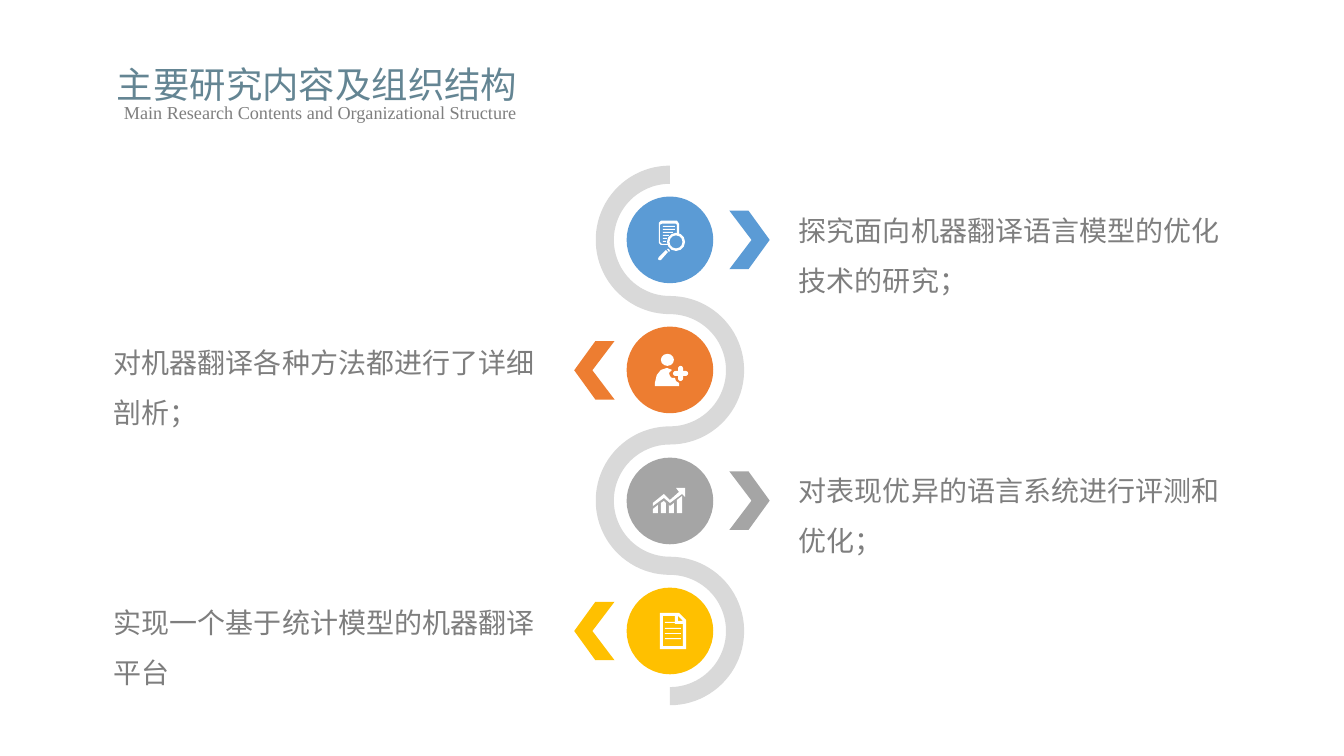
"""Build the slide on research contents: a winding path with four icon steps."""
import math
from dataclasses import dataclass
from typing import Any, Callable

from pptx import Presentation
from pptx import util as u
from pptx.dml.color import RGBColor
from pptx.enum import shapes, text

PX = 9144
FONT = "Times New Roman"
COLOURS = {
    "blue": "5B9BD5", "orange": "ED7D31", "grey": "A5A5A5", "gold": "FFC000",
    "path": "D9D9D9", "white": "FFFFFF", "body": "7E7E7E",
    "title": "648593", "subtitle": "7F7F7F",
}
SLIDE_W, SLIDE_H = 1334, 750
PATH_X, FIRST_Y, LAST_Y = 665, 238, 626
PATH_WIDTH, DISC = 18, 86
CHEVRON_X, CHEVRON_HALF = 724, 29
CHEVRON = [(0, 0), (22, 29), (0, 58), (19, 58), (40, 29), (19, 0)]

Point = tuple[float, float]


@dataclass(frozen=True)
class Step:
    """One stop on the winding path with its statement."""
    statement: str
    colour: str
    side: int
    left: int
    top: int
    icon: Callable[[Any], None]


def emu(px: float) -> int:
    """Turn px into EMU."""
    return round(px * PX)


def paint(shape: Any, colour: str) -> None:
    """Give a shape a flat fill without line or shadow."""
    shape.shadow.inherit = False
    shape.fill.solid()
    shape.fill.fore_color.rgb = RGBColor.from_string(COLOURS[colour])
    shape.line.fill.background()


def add_preset(parent: Any, kind: Any, box: tuple[int, int, int, int],
               colour: str = "white", adjust: float | None = None) -> None:
    """Draw a preset shape in a px box."""
    shape = parent.add_shape(kind, *map(emu, box))
    if adjust is not None:
        shape.adjustments[0] = adjust
    paint(shape, colour)


def add_outline(parent: Any, contours: list[list[Point]], colour: str = "white") -> None:
    """Draw closed contours as one freeform."""
    builder = None
    for contour in contours:
        start, *rest = [(emu(x), emu(y)) for x, y in contour]
        if builder is None:
            builder = parent.build_freeform(*start, scale=1.0)
        else:
            builder.move_to(*start)
        builder.add_line_segments(rest, close=True)
    paint(builder.convert_to_shape(), colour)


def add_lines(parent: Any, left: int, tops: list[int], widths: list[int]) -> None:
    """Draw the written lines of a page."""
    for top, width in zip(tops, widths):
        add_preset(parent, shapes.MSO_SHAPE.RECTANGLE, (left, top, width, 1))


def add_text(parent: Any, content: str, *, box: tuple[int, int, int, int], size: int,
             colour: str, wrap: bool = True,
             insets: tuple[int, int, int, int] = (0, 0, 0, 0)) -> None:
    """Add a one-paragraph text box."""
    frame = parent.add_textbox(*map(emu, box)).text_frame
    frame.word_wrap = wrap
    frame.auto_size = text.MSO_AUTO_SIZE.SHAPE_TO_FIT_TEXT
    frame.margin_left, frame.margin_top, frame.margin_right, frame.margin_bottom = map(emu, insets)
    paragraph = frame.paragraphs[0]
    paragraph.line_spacing = 1.5
    run = paragraph.add_run()
    run.text = content
    run.font.name = FONT
    run.font.size = u.Pt(size)
    run.font.color.rgb = RGBColor.from_string(COLOURS[colour])


def draw_search(icon: Any) -> None:
    """Draw a page under a magnifier."""
    add_outline(icon, [[
        (664, 242), (657, 242), (655, 240), (655, 223), (657, 222), (671, 222),
        (672, 223), (672, 232), (674, 232), (674, 222), (672, 219), (656, 219),
        (654, 221), (654, 241), (656, 243), (664, 243)]])
    add_lines(icon, 658, list(range(224, 240, 3)), [12, 12, 10, 6, 4, 3])
    add_preset(icon, shapes.MSO_SHAPE.DONUT, (662, 231, 18, 18), adjust=0.14)
    add_outline(icon, [
        [(662, 247), (664, 247), (665, 249), (664, 250)],
        [(661, 248), (663, 250), (656, 258), (654, 258), (653, 257), (654, 255)]])


def draw_person(icon: Any) -> None:
    """Draw a person with a plus sign."""
    add_preset(icon, shapes.MSO_SHAPE.OVAL, (656, 351, 13, 12))
    add_outline(icon, [[
        (674, 383), (650, 383), (650, 380), (652, 372), (656, 367), (662, 365),
        (667, 367), (664, 370), (665, 373), (667, 375), (670, 375), (671, 378),
        (674, 380)]])
    for bar in ((668, 368, 15, 5), (673, 363, 5, 15)):
        add_preset(icon, shapes.MSO_SHAPE.ROUNDED_RECTANGLE, bar, adjust=0.5)


def draw_growth(icon: Any) -> None:
    """Draw bars under a rising arrow."""
    add_outline(icon, [
        [(656, 499), (656, 509), (661, 509), (661, 499), (659, 497)],
        [(648, 509), (653, 509), (653, 501), (648, 505)],
        [(672, 496), (672, 509), (677, 509), (677, 492)],
        [(664, 501), (664, 509), (669, 509), (669, 499), (665, 502)]])
    add_outline(icon, [[
        (680, 484), (671, 484), (674, 488), (665, 496), (659, 490), (648, 499),
        (648, 502), (659, 494), (665, 499), (677, 490), (680, 493)]])


def draw_document(icon: Any) -> None:
    """Draw a page with a folded corner."""
    add_outline(icon, [
        [(681, 615), (674, 608), (655, 608), (655, 644), (681, 644)],
        [(678, 616), (673, 616), (673, 611)],
        [(678, 641), (658, 641), (658, 611), (670, 611), (670, 619), (678, 619)]])
    add_lines(icon, 660, [617, 623, 628, 633], [16] * 4)


STEPS = [
    Step("探究面向机器翻译语言模型的优化技术的研究；", "blue", 1, 793, 195, draw_search),
    Step("对机器翻译各种方法都进行了详细剖析；", "orange", -1, 113, 326, draw_person),
    Step("对表现优异的语言系统进行评测和优化；", "grey", 1, 793, 453, draw_growth),
    Step("实现一个基于统计模型的机器翻译平台", "gold", -1, 113, 584, draw_document),
]
PITCH = (LAST_Y - FIRST_Y) / (len(STEPS) - 1)


def path_edge(offset: float) -> list[Point]:
    """Trace one edge of the winding path from top to bottom."""
    edge = []
    for index, step in enumerate(STEPS):
        radius = PITCH / 2 - step.side * offset
        for degrees in range(0, 181, 4):
            angle = math.radians(degrees)
            edge.append((PATH_X - step.side * radius * math.sin(angle),
                         FIRST_Y + index * PITCH - radius * math.cos(angle)))
    return edge


def add_step(parent: Any, step: Step, centre_y: float) -> None:
    """Draw the disc, icon, chevron and statement of a step."""
    add_preset(parent, shapes.MSO_SHAPE.OVAL,
               (PATH_X - DISC // 2, round(centre_y) - DISC // 2, DISC, DISC), step.colour)
    middle = SLIDE_W / 2
    add_outline(parent, [[(middle + step.side * (CHEVRON_X + x - middle),
                           centre_y - CHEVRON_HALF + y) for x, y in CHEVRON]], step.colour)
    step.icon(parent.add_group_shape().shapes)
    add_text(parent, step.statement, box=(step.left, step.top, 431, 100), size=20, colour="body")


def main() -> None:
    """Build and save the slide."""
    deck = Presentation()
    deck.slide_width, deck.slide_height = emu(SLIDE_W), emu(SLIDE_H)
    canvas = deck.slides.add_slide(deck.slide_layouts[6]).shapes
    half = PATH_WIDTH / 2
    add_outline(canvas, [path_edge(half) + path_edge(-half)[::-1]], "path")
    for index, step in enumerate(STEPS):
        add_step(canvas, step, FIRST_Y + index * PITCH)
    add_text(canvas, "主要研究内容及组织结构", box=(116, 40, 541, 65), size=26, colour="title")
    add_text(canvas, "Main Research Contents and Organizational Structure",
             box=(123, 85, 399, 43), size=13, colour="subtitle", wrap=False,
             insets=(0, 5, 10, 5))
    deck.save("out.pptx")


if __name__ == "__main__":
    main()
